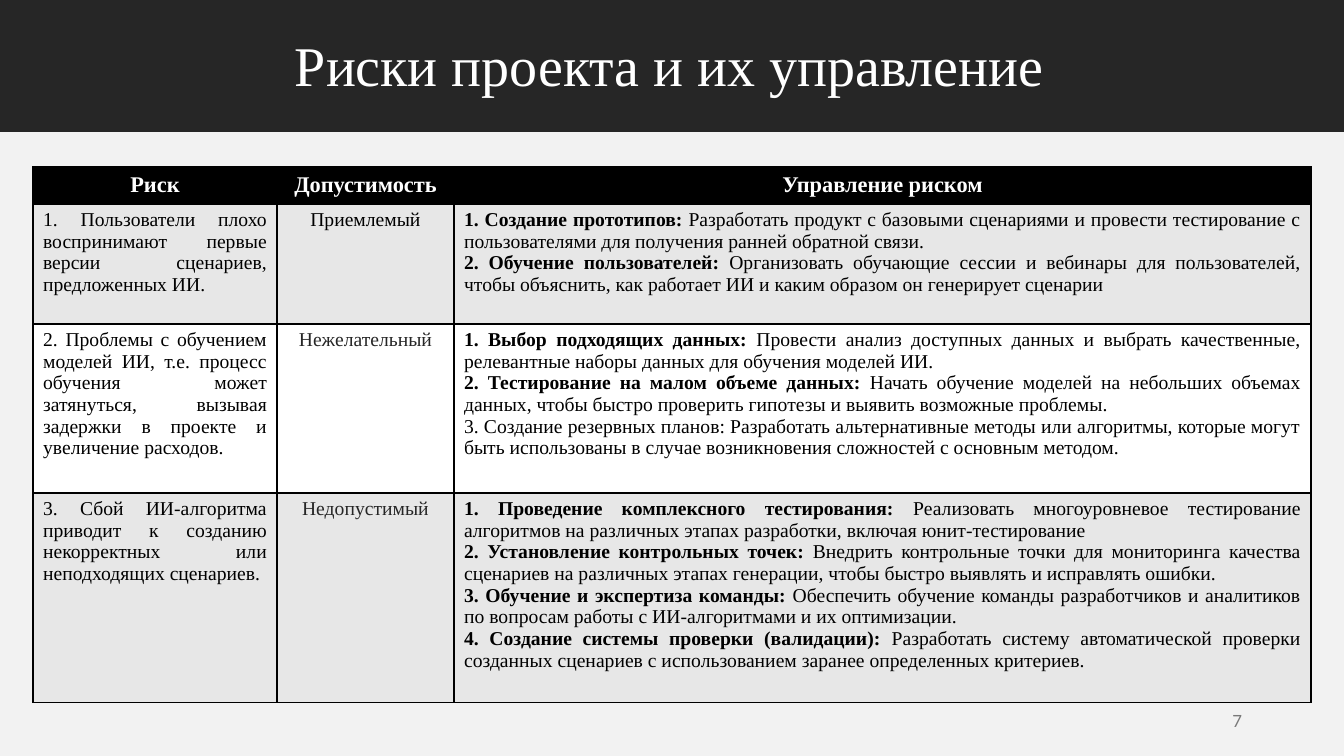
from dataclasses import dataclass

from lxml import etree
from pptx import Presentation
from pptx.dml.color import RGBColor
from pptx.enum.shapes import MSO_SHAPE
from pptx.enum.text import MSO_ANCHOR, PP_ALIGN
from pptx.oxml.ns import qn
from pptx.util import Emu, Pt

RECTANGLE = MSO_SHAPE.RECTANGLE
MIDDLE = MSO_ANCHOR.MIDDLE
LEFT, CENTER, RIGHT, JUSTIFY = PP_ALIGN.LEFT, PP_ALIGN.CENTER, PP_ALIGN.RIGHT, PP_ALIGN.JUSTIFY
EMU_PER_PX = 914400 / 100.8
SLIDE_WIDTH, SLIDE_HEIGHT = 1344, 756
COLUMN_WIDTHS = (244, 177, 857)
HEADER_HEIGHT = 35
HEADINGS = ("Риск", "Допустимость", "Управление риском")


@dataclass(frozen=True)
class Theme:
    """Colours, fonts and type sizes of the slide."""
    white: str = "FFFFFF"
    black: str = "000000"
    dark: str = "262626"
    backdrop: str = "F2F2F2"
    shaded: str = "E7E7E7"
    muted: str = "797979"
    serif: str = "Times New Roman"
    sans: str = "Lato"
    title_size: int = 40
    heading_size: int = 16
    body_size: int = 14
    number_size: int = 12
    border_width: int = 1


@dataclass(frozen=True)
class Box:
    """A rectangle on the slide, in px."""
    left: int
    top: int
    width: int
    height: int

    def emu(self) -> tuple[Emu, ...]:
        """Return the four lengths in EMU."""
        return tuple(px(n) for n in (self.left, self.top, self.width, self.height))


@dataclass(frozen=True)
class Style:
    """Look of a piece of text."""
    size: int
    color: str
    font: str
    align: PP_ALIGN
    bold: bool = False


@dataclass(frozen=True)
class Measure:
    """One way of managing a risk, with an optional bold lead."""
    lead: str
    detail: str


@dataclass(frozen=True)
class Risk:
    """One row of the risk table."""
    description: str
    tolerance: str
    tolerance_color: str
    measures: tuple[Measure, ...]
    fill: str
    height: int


THEME = Theme()
TITLE = Style(THEME.title_size, THEME.white, THEME.serif, LEFT)
HEADING = Style(THEME.heading_size, THEME.white, THEME.serif, CENTER, True)
BODY = Style(THEME.body_size, THEME.black, THEME.serif, JUSTIFY)
NUMBER = Style(THEME.number_size, THEME.muted, THEME.sans, RIGHT)

RISKS = (
    Risk(
        "1. Пользователи плохо воспринимают первые версии сценариев, предложенных ИИ.",
        "Приемлемый", THEME.black,
        (
            Measure("1. Создание прототипов:", " Разработать продукт с базовыми сценариями и провести тестирование с пользователями для получения ранней обратной связи."),
            Measure("2. Обучение пользователей:", " Организовать обучающие сессии и вебинары для пользователей, чтобы объяснить, как работает ИИ и каким образом он генерирует сценарии"),
        ),
        THEME.shaded, 120,
    ),
    Risk(
        "2. Проблемы с обучением моделей ИИ, т.е. процесс обучения может затянуться, вызывая задержки в проекте и увеличение расходов.",
        "Нежелательный", THEME.dark,
        (
            Measure("1. Выбор подходящих данных:", " Провести анализ доступных данных и выбрать качественные, релевантные наборы данных для обучения моделей ИИ."),
            Measure("2. Тестирование на малом объеме данных:", " Начать обучение моделей на небольших объемах данных, чтобы быстро проверить гипотезы и выявить возможные проблемы."),
            Measure("", "3. Создание резервных планов: Разработать альтернативные методы или алгоритмы, которые могут быть использованы в случае возникновения сложностей с основным методом."),
        ),
        THEME.white, 169,
    ),
    Risk(
        "3. Сбой ИИ-алгоритма приводит к созданию некорректных или неподходящих сценариев.",
        "Недопустимый", THEME.dark,
        (
            Measure("1. Проведение комплексного тестирования:", " Реализовать многоуровневое тестирование алгоритмов на различных этапах разработки, включая юнит-тестирование"),
            Measure("2. Установление контрольных точек:", " Внедрить контрольные точки для мониторинга качества сценариев на различных этапах генерации, чтобы быстро выявлять и исправлять ошибки."),
            Measure("3. Обучение и экспертиза команды:", " Обеспечить обучение команды разработчиков и аналитиков по вопросам работы с ИИ-алгоритмами и их оптимизации."),
            Measure("4. Создание системы проверки (валидации):", " Разработать систему автоматической проверки созданных сценариев с использованием заранее определенных критериев."),
        ),
        THEME.shaded, 210,
    ),
)


def px(length: int) -> Emu:
    """Turn px into EMU."""
    return Emu(round(length * EMU_PER_PX))


def format_paragraph(paragraph, style: Style) -> None:
    """Apply a style to a paragraph and its runs."""
    paragraph.alignment = style.align
    for run in paragraph.runs:
        run.font.size = Pt(style.size)
        run.font.name = style.font
        run.font.bold = style.bold
        run.font.color.rgb = RGBColor.from_string(style.color)


def add_band(slide, box: Box, color: str) -> None:
    """Draw a plain filled rectangle."""
    band = slide.shapes.add_shape(RECTANGLE, *box.emu())
    band.shadow.inherit = False
    band.fill.solid()
    band.fill.fore_color.rgb = RGBColor.from_string(color)
    band.line.fill.background()


def add_label(slide, box: Box, text: str, style: Style, spacing: float = 1.0) -> None:
    """Write one line of text, centred vertically in its box."""
    frame = slide.shapes.add_textbox(*box.emu()).text_frame
    frame.word_wrap = True
    frame.vertical_anchor = MIDDLE
    frame.text = text
    frame.paragraphs[0].line_spacing = spacing
    format_paragraph(frame.paragraphs[0], style)


def paint_cell(cell, color: str) -> None:
    """Give a cell its borders and fill."""
    properties = cell._tc.get_or_add_tcPr()
    for side in ("a:lnL", "a:lnR", "a:lnT", "a:lnB"):
        border = etree.SubElement(properties, qn(side), w=str(Pt(THEME.border_width)))
        paint = etree.SubElement(border, qn("a:solidFill"))
        etree.SubElement(paint, qn("a:srgbClr"), val=THEME.black)
    cell.fill.solid()
    cell.fill.fore_color.rgb = RGBColor.from_string(color)


def write_cell(cell, text: str, style: Style, fill: str) -> None:
    """Fill a cell with a single paragraph."""
    paint_cell(cell, fill)
    cell.text_frame.text = text
    format_paragraph(cell.text_frame.paragraphs[0], style)


def write_measures(cell, measures: tuple[Measure, ...], fill: str) -> None:
    """List the measures, one paragraph each, with bold leads."""
    paint_cell(cell, fill)
    frame = cell.text_frame
    for index, measure in enumerate(measures):
        paragraph = frame.paragraphs[0] if index == 0 else frame.add_paragraph()
        for part in filter(None, (measure.lead, measure.detail)):
            paragraph.add_run().text = part
        format_paragraph(paragraph, BODY)
        paragraph.runs[0].font.bold = bool(measure.lead)


def add_risk_table(slide, left: int, top: int) -> None:
    """Build the table of risks."""
    heights = (HEADER_HEIGHT, *(risk.height for risk in RISKS))
    box = Box(left, top, sum(COLUMN_WIDTHS), sum(heights))
    table = slide.shapes.add_table(len(heights), len(COLUMN_WIDTHS), *box.emu()).table
    for column, width in zip(table.columns, COLUMN_WIDTHS):
        column.width = px(width)
    for row, height in zip(table.rows, heights):
        row.height = px(height)
    for index, heading in enumerate(HEADINGS):
        write_cell(table.cell(0, index), heading, HEADING, THEME.black)
    for index, risk in enumerate(RISKS, start=1):
        tolerance = Style(THEME.body_size, risk.tolerance_color, THEME.serif, CENTER)
        write_cell(table.cell(index, 0), risk.description, BODY, risk.fill)
        write_cell(table.cell(index, 1), risk.tolerance, tolerance, risk.fill)
        write_measures(table.cell(index, 2), risk.measures, risk.fill)


def main() -> None:
    """Build and save the slide."""
    deck = Presentation()
    deck.slide_width, deck.slide_height = px(SLIDE_WIDTH), px(SLIDE_HEIGHT)
    slide = deck.slides.add_slide(deck.slide_layouts[6])
    add_band(slide, Box(0, 109, SLIDE_WIDTH, SLIDE_HEIGHT - 109), THEME.backdrop)
    add_band(slide, Box(0, 0, SLIDE_WIDTH, 132), THEME.dark)
    add_label(slide, Box(285, 27, 775, 82), "Риски проекта и их управление", TITLE, 0.9)
    add_risk_table(slide, 33, 167)
    add_label(slide, Box(950, 701, 302, 40), "7", NUMBER)
    deck.save("out.pptx")


if __name__ == "__main__":
    main()
